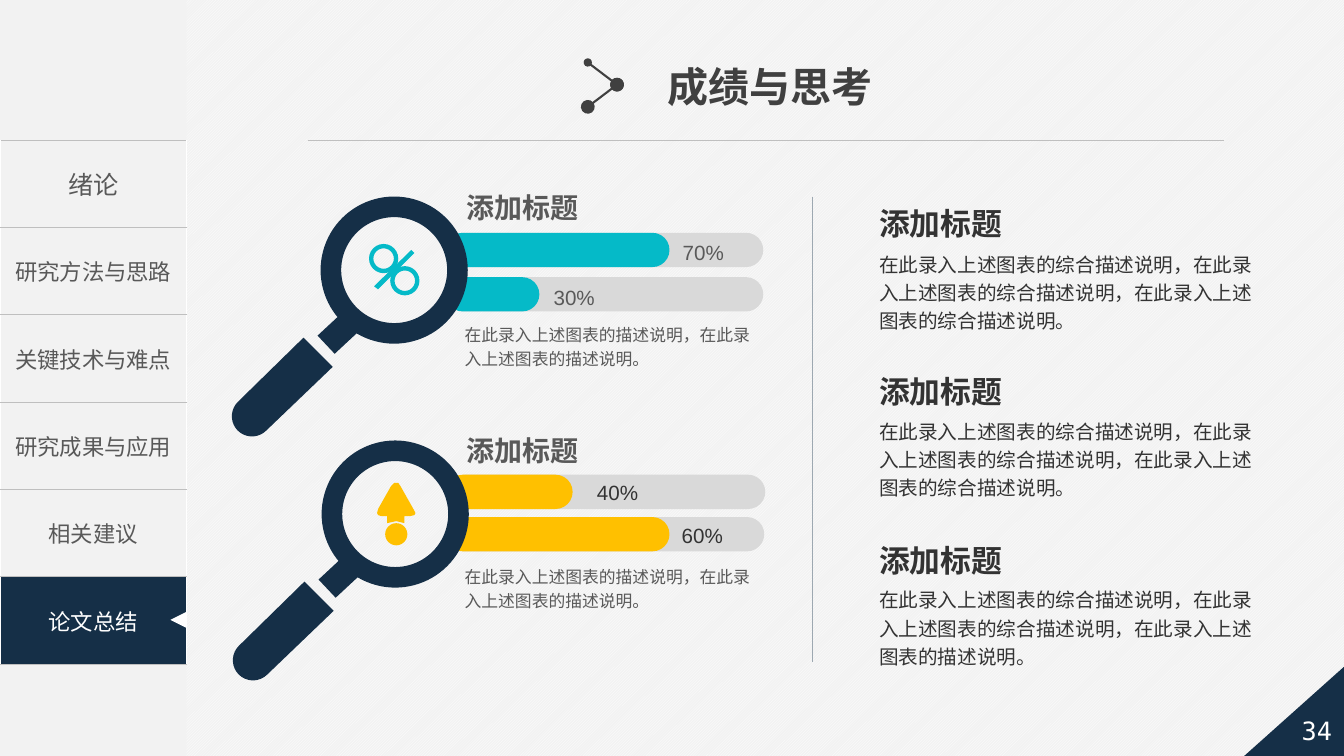
from math import cos, sin, radians
from lxml.etree import SubElement
from pptx import Presentation
from pptx.dml.color import RGBColor
from pptx.enum.dml import MSO_PATTERN
from pptx.enum.shapes import MSO_CONNECTOR, MSO_SHAPE as Kind
from pptx.enum.text import MSO_ANCHOR as Anchor, PP_ALIGN as Align
from pptx.oxml.ns import qn
from pptx.util import Inches, Pt

HUES = {
    "navy": "152F47", "teal": "05BAC8", "gold": "FFC000", "track": "D9D9D9",
    "pale": "F2F2F2", "rule": "BFBFBF", "split": "9DA8B1", "white": "FFFFFF",
    "title": "404040", "dark": "333333", "gray": "595959",
}
RGB = {name: RGBColor.from_string(code) for name, code in HUES.items()}
SANS = "Noto Sans CJK SC"


def paint(item, hue):
    item.shadow.inherit = False
    item.fill.solid()
    item.fill.fore_color.rgb = RGB[hue]
    item.line.fill.background()
    return item


def write(frame, text, size, hue, font=SANS, bold=False, align=Align.LEFT, lead=None):
    para = frame.paragraphs[0]
    for key, value in {"alignment": align, "line_spacing": lead}.items():
        setattr(para, key, value)
    run = para.add_run()
    run.text = text
    for key, value in {"size": Pt(size), "bold": bold, "name": font}.items():
        setattr(run.font, key, value)
    run.font.color.rgb = RGB[hue]
    SubElement(run.font._element, qn("a:ea"), typeface=SANS)


deck = Presentation()
deck.slide_width, deck.slide_height = Inches(13.33), Inches(7.5)
slide = deck.slides.add_slide(deck.slide_layouts[5])
shapes = slide.shapes
back = slide.background.fill
back.patterned()
back.pattern = MSO_PATTERN.LIGHT_UPWARD_DIAGONAL
back.fore_color.rgb, back.back_color.rgb = RGB["white"], RGB["pale"]

title = shapes.title
place = {"left": 6.52, "top": 0.56, "width": 2.26, "height": 0.59}
for key, value in place.items():
    setattr(title, key, Inches(value))
for key, value in {"word_wrap": False, "vertical_anchor": Anchor.TOP}.items():
    setattr(title.text_frame, key, value)
write(title.text_frame, "成绩与思考", 29.3, "title", "Arial", True)

side = shapes.add_shape(Kind.RECTANGLE, 0, 0, Inches(1.85), Inches(7.5))
paint(side, "pale")
menu = ["绪论", "研究方法与思路", "关键技术与难点", "研究成果与应用", "相关建议", "论文总结"]
grid = shapes.add_table(len(menu), 1, 0, Inches(1.39), Inches(1.85), Inches(5.2)).table
grid.first_row = grid.horz_banding = False
for row, label in enumerate(menu):
    cell = grid.cell(row, 0)
    active = label == menu[-1]
    cell.vertical_anchor = Anchor.MIDDLE
    write(cell.text_frame, label, 16 if row else 18,
          "white" if active else "gray", align=Align.CENTER)
    props = cell._tc.get_or_add_tcPr()
    for tag in ("a:lnT", "a:lnB"):
        edge = SubElement(props, qn(tag), w=str(Pt(1)))
        SubElement(SubElement(edge, qn("a:solidFill")), qn("a:srgbClr"), val=HUES["rule"])
    if active:
        cell.fill.solid()
        cell.fill.fore_color.rgb = RGB["navy"]
    else:
        cell.fill.background()

mark = shapes.add_shape(Kind.ISOSCELES_TRIANGLE, *map(Inches, (1.69, 6.07, 0.16, 0.16)))
paint(mark, "white").rotation = 270
fold = shapes.add_shape(Kind.RIGHT_TRIANGLE, *map(Inches, (12.33, 6.58, 1.04, 0.93)))
paint(fold, "navy")._element.spPr.xfrm.set("flipH", "1")
page = shapes.add_textbox(*map(Inches, (12.52, 6.97, 1.08, 0.55))).text_frame
page.vertical_anchor = Anchor.MIDDLE
write(page, "34", 18, "white", "DejaVu Sans Mono", align=Align.CENTER)

lines = [
    (3.05, 1.39, 12.14, 1.39, "rule", 0.5, None),
    (8.06, 1.95, 8.06, 6.57, "split", 1, None),
    (5.83, 0.62, 6.12, 0.84, "title", 1.5, ("med", "lg")),
    (6.12, 0.84, 5.83, 1.06, "title", 1.5, ("lg", "lg")),
]
for *ends, hue, width, dots in lines:
    line = shapes.add_connector(MSO_CONNECTOR.STRAIGHT, *map(Inches, ends))
    line.line.width = Pt(width)
    line.line.color.rgb = RGB[hue]
    props = line._element.spPr
    if dots:
        for tag, size in zip(("a:headEnd", "a:tailEnd"), dots):
            SubElement(props.find(qn("a:ln")), qn(tag), type="oval", w=size, len=size)
    SubElement(props, qn("a:effectLst"))

bars = [
    (4.42, 2.31, 2.22, "teal", "70%", 6.62, 2.28, 0.71, "gray"),
    (4.42, 2.75, 0.93, "teal", "30%", 5.34, 2.73, 0.71, "gray"),
    (4.44, 4.71, 1.26, "gold", "40%", 5.65, 4.66, 0.95, "dark"),
    (4.43, 5.13, 2.22, "gold", "60%", 6.61, 5.09, 0.71, "dark"),
]
for left, top, width, hue, label, x, y, wide, ink in bars:
    for start, span, tone in ((left, 3.15, "track"), (4.42, width, hue)):
        bar = shapes.add_shape(Kind.ROUNDED_RECTANGLE, *map(Inches, (start, top, span, 0.34)))
        paint(bar, tone).adjustments[0] = 0.5
    frame = shapes.add_textbox(*map(Inches, (x, y, wide, 0.37))).text_frame
    frame.word_wrap = True
    write(frame, label, 14.7, ink, "Arial", align=Align.CENTER, lead=1.2)

neck = [(3.61, 3.24), (3.32, 3.51), (3.15, 3.33), (3.44, 3.06)]
turns = [radians(angle) for angle in range(225, 44, -10)]
grip = [(3.01, 3.35), *((2.5 + 0.2 * cos(t), 4.13 + 0.2 * sin(t)) for t in turns), (3.3, 3.64)]
slash = [(4.11, 2.51), (3.75, 2.87), (3.71, 2.84), (4.08, 2.48)]
arrow = [(3.88, 4.82), (3.91, 4.79), (3.95, 4.79), (3.97, 4.82), (4.1, 5.05),
         (4.12, 5.09), (4.11, 5.11), (4.07, 5.12), (4.01, 5.12), (4.01, 5.19),
         (3.93, 5.17), (3.84, 5.19), (3.84, 5.12), (3.78, 5.12), (3.75, 5.11),
         (3.74, 5.09), (3.75, 5.05)]
paths = [(slash, "teal"), (arrow, "gold")]
rings = [(3.66, 2.42, 0.29, 0.15, "teal"), (3.87, 2.64, 0.29, 0.15, "teal")]
for dx, dy in ((0, 0), (0.01, 2.42)):
    paths += [([(x + dx, y + dy) for x, y in part], "navy") for part in (neck, grip)]
    rings.append((3.18 + dx, 1.95 + dy, 1.46, 0.14, "navy"))
for points, hue in paths:
    first, *rest = [(Inches(x), Inches(y)) for x, y in points]
    form = shapes.build_freeform(*first)
    form.add_line_segments(rest)
    paint(form.convert_to_shape(), hue)
for left, top, size, band, hue in rings:
    ring = shapes.add_shape(Kind.DONUT, *map(Inches, (left, top, size, size)))
    paint(ring, hue).adjustments[0] = band
ball = shapes.add_shape(Kind.OVAL, *map(Inches, (3.82, 5.19, 0.22, 0.22)))
paint(ball, "gold")

brief = "在此录入上述图表的描述说明，在此录入上述图表的描述说明。"
lead = "在此录入上述图表的综合描述说明，" * 2
full = lead + "在此录入上述图表的综合描述说明。"
last = lead + "在此录入上述图表的描述说明。"
notes = [
    (8.62, 1.98, 1.44, 22, 8.62, 2.41, 3.96, 14, "dark", full),
    (8.62, 3.65, 1.44, 22, 8.62, 4.07, 3.96, 14, "dark", full),
    (8.62, 5.32, 1.44, 22, 8.62, 5.74, 3.96, 14, "dark", last),
    (4.53, 1.84, 1.32, 20, 4.51, 3.13, 3.08, 12, "gray", brief),
    (4.53, 4.25, 1.32, 20, 4.51, 5.53, 3.08, 12, "gray", brief),
]
for left, top, width, size, x, y, wide, small, hue, text in notes:
    head = shapes.add_textbox(*map(Inches, (left, top, width, 0.45))).text_frame
    head.word_wrap = False
    write(head, "添加标题", size, hue, bold=True)
    high = 0.95 if small == 14 else 0.59
    body = shapes.add_textbox(*map(Inches, (x, y, wide, high))).text_frame
    body.word_wrap = True
    write(body, text, small, hue, lead=1.2)

deck.save("out.pptx")
